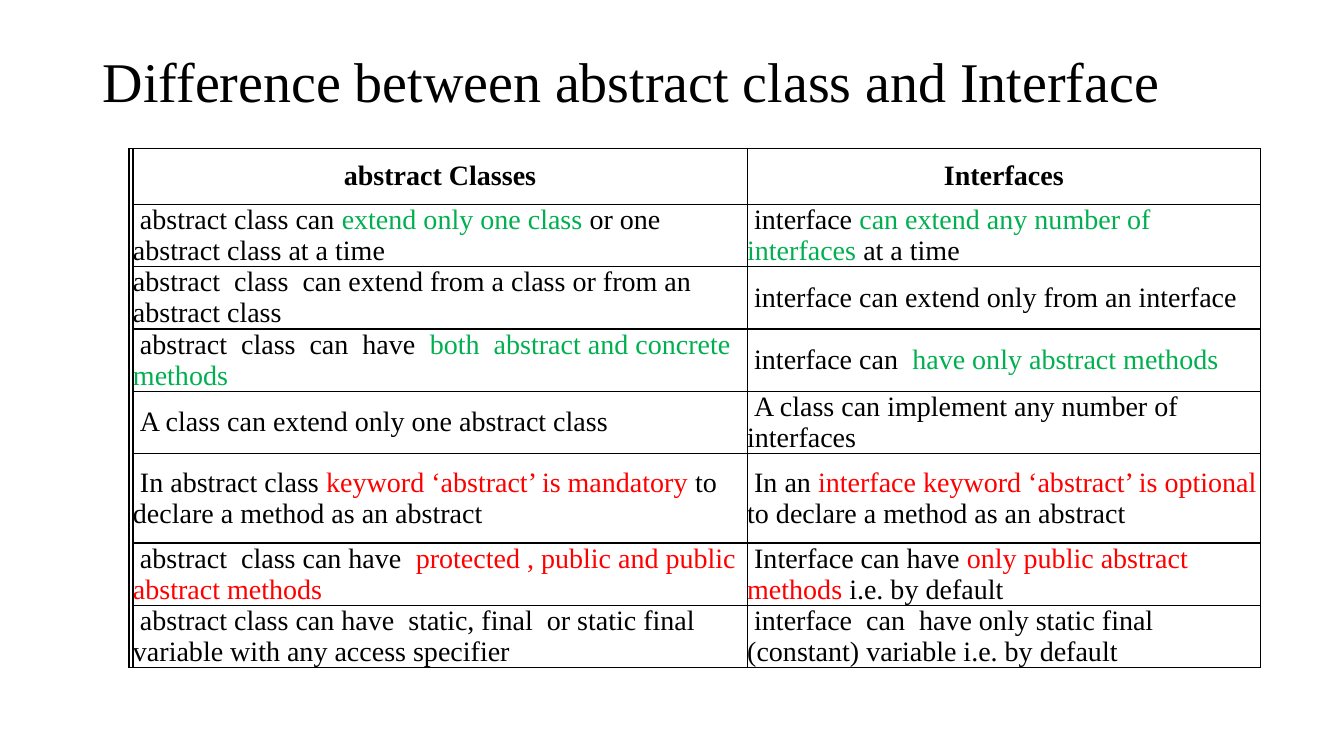
from lxml.etree import SubElement
from pptx import Presentation
from pptx.dml.color import RGBColor as RGB
from pptx.enum.text import MSO_ANCHOR as Anchor, PP_ALIGN as Align
from pptx.oxml.ns import qn
from pptx.util import Inches, Pt

BLACK = RGB(0, 0, 0)
GREEN = RGB(0, 0xB0, 0x50)
RED = RGB(0xFF, 0, 0)
FONT = "Times New Roman"

# Grid of 100 columns by 75 rows
WIDTH, HEIGHT = Inches(13.33), Inches(7.5)
COLS, ROWS = 100, 75

TITLE = "Difference between abstract class and Interface"
HEADS = ("abstract Classes", "Interfaces")
# Accent colour, left text, right text; bars enclose the accented words,
# and an underscore is a non-breaking space
POINTS = [
    (GREEN, "_abstract class can |extend only one class |or one abstract class at a time",
     "_interface |can extend any number of interfaces |at a time"),
    (BLACK, "abstract_ class_ can extend from a class or from an abstract class",
     "_interface can extend only from an interface"),
    (GREEN, "_abstract_ class_ can_ have _|both_ abstract and concrete methods",
     "_interface can_ |have only abstract methods"),
    (BLACK, "_A class can extend only one abstract class",
     "_A class can implement any number of interfaces"),
    (RED, "_In abstract class |keyword ‘abstract’ is mandatory| to declare a method as an abstract",
     "_In an |interface keyword ‘abstract’ is optional| to declare a method as an abstract"),
    (RED, "_abstract_ class can have_ |protected , public and public abstract methods",
     "_Interface can have |only public abstract methods| i.e. by default"),
    (BLACK, "_abstract class can have _static, final _or static final_ variable with any access specifier",
     "_interface_ can_ have only static final (constant) variable i.e. by default"),
]


def across(n):
    return int(WIDTH * n / COLS)


def down(n):
    return int(HEIGHT * n / ROWS)


def set_font(para, size, bold=False):
    font = para.font
    font.name, font.size, font.bold = FONT, Pt(size), bold
    font.color.rgb = BLACK


def add_title(slide, x, y, w, h):
    title = slide.shapes.title
    title.left, title.top = across(x), down(y)
    title.width, title.height = across(w), down(h)
    frame = title.text_frame
    frame.text, frame.vertical_anchor = TITLE, Anchor.MIDDLE
    para = frame.paragraphs[0]
    para.alignment, para.line_spacing = Align.LEFT, 0.9
    set_font(para, 40)


def style(cell):
    cell.margin_left = cell.margin_right = 0
    cell.margin_top = cell.margin_bottom = 0
    cell.vertical_anchor = Anchor.MIDDLE
    props = cell._tc.get_or_add_tcPr()
    for side in ("L", "R", "T", "B"):
        line = SubElement(props, qn("a:ln" + side), w=str(Pt(1)))
        fill = SubElement(line, qn("a:solidFill"))
        SubElement(fill, qn("a:srgbClr"), val=str(BLACK))
    cell.fill.background()


def write(cell, text, accent=BLACK, head=False):
    para = cell.text_frame.paragraphs[0]
    para.alignment = Align.CENTER if head else Align.LEFT
    set_font(para, 20, head)
    for i, part in enumerate(text.replace("_", "\u00a0").split("|")):
        run = para.add_run()
        run.text = part
        if i % 2:
            run.font.color.rgb = accent


def add_grid(slide, x, y, widths, heights):
    frame = slide.shapes.add_table(
        len(heights), len(widths), across(x), down(y),
        across(sum(widths)), down(sum(heights)))
    table = frame.table
    table.first_row = table.horz_banding = False
    for col, w in zip(table.columns, widths):
        col.width = across(w)
    for row, h in zip(table.rows, heights):
        row.height = down(h)
    for cell in table.iter_cells():
        style(cell)
    # Narrow empty strip down the left edge
    table.cell(0, 0).merge(table.cell(len(heights) - 1, 0))
    # Header row, then one row for each point
    for c, text in enumerate(HEADS, 1):
        write(table.cell(0, c), text, head=True)
    for r, (accent, *texts) in enumerate(POINTS, 1):
        for c, text in enumerate(texts, 1):
            write(table.cell(r, c), text, accent)


deck = Presentation()
deck.slide_width, deck.slide_height = WIDTH, HEIGHT
page = deck.slides.add_slide(deck.slide_layouts[5])
add_title(page, 6.9, 4, 86.7, 8.7)
add_grid(page, 9.6, 14.7, (0.25, 45.7, 38.2), [5.6] + [5.9] * 4 + [8.9] + [5.9] * 2)
deck.save("out.pptx")
